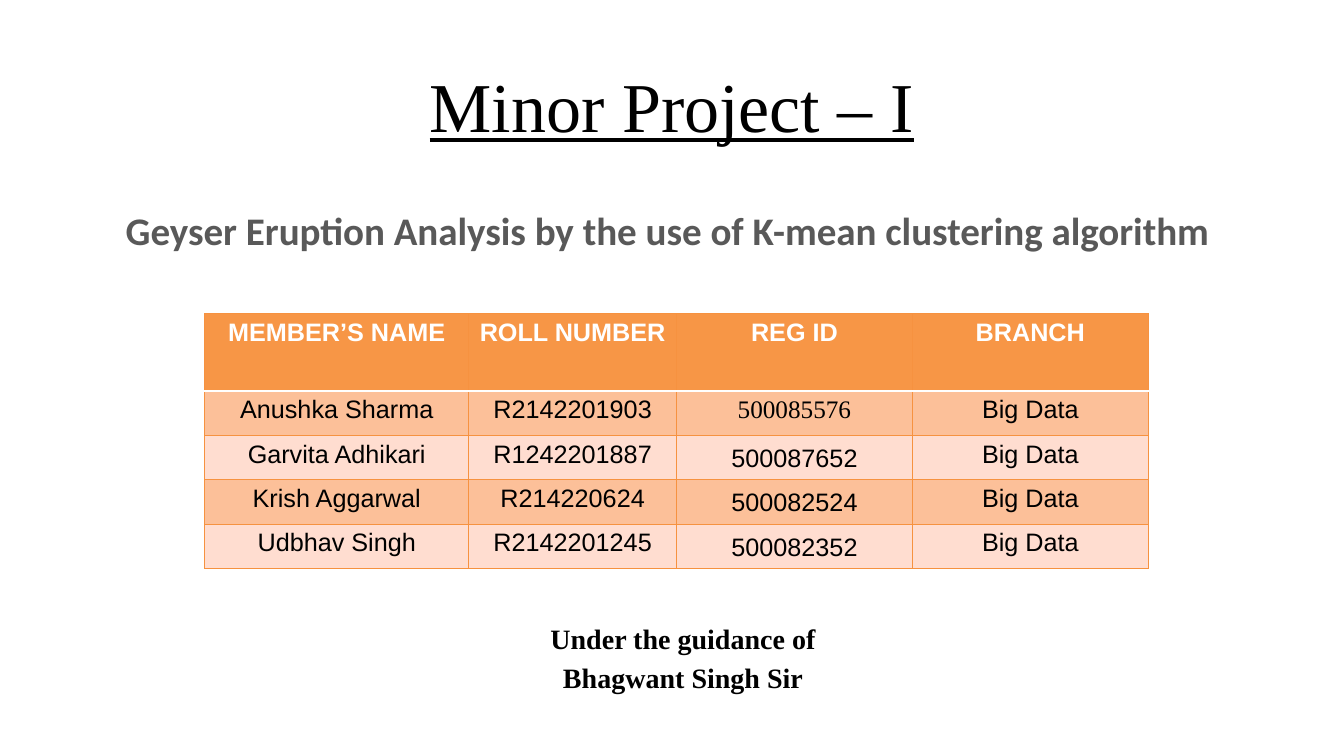
from dataclasses import dataclass

from lxml.etree import SubElement
from pptx import Presentation
from pptx.dml.color import RGBColor
from pptx.enum.text import MSO_ANCHOR as Anchor, MSO_AUTO_SIZE as AutoSize, PP_ALIGN as Align
from pptx.oxml.ns import qn
from pptx.util import Inches, Pt


@dataclass(frozen=True)
class Theme:
    ink: str = "000000"
    muted: str = "595959"
    white: str = "FFFFFF"
    header: str = "F79646"
    band: str = "FCC099"
    plain: str = "FFDDD0"
    rule: str = "F69240"
    serif: str = "Times New Roman"
    sans: str = "Arial"
    heading: str = "Calibri"
    title_size: float = 50
    subtitle_size: float = 27.9
    table_size: float = 18
    guide_size: float = 20


THEME = Theme()
HEADERS = ["MEMBER’S NAME", "ROLL NUMBER", "REG ID", "BRANCH"]
MEMBERS = [
    ["Anushka Sharma", "R2142201903", "500085576", "Big Data"],
    ["Garvita Adhikari", "R1242201887", "500087652", "Big Data"],
    ["Krish Aggarwal", "R214220624", "500082524", "Big Data"],
    ["Udbhav Singh", "R2142201245", "500082352", "Big Data"],
]
COLUMN_WIDTHS = [2.62, 2.06, 2.34, 2.34]
ID_COLUMN = HEADERS.index("REG ID")
HEADER_HEIGHT = 0.77


def write(para, text, *, font, size, color=THEME.ink, bold=False,
          underline=False, line_spacing=None, space_after=None):
    para.alignment = Align.CENTER
    if line_spacing:
        para.line_spacing = line_spacing
    if space_after is not None:
        para.space_after = Pt(space_after)
    span = para.add_run()
    span.text = text
    span.font.name = font
    span.font.size = Pt(size)
    span.font.bold = bold
    span.font.underline = underline
    span.font.color.rgb = RGBColor.from_string(color)


def set_borders(cell, **borders):
    properties = cell._tc.get_or_add_tcPr()
    for side in ("L", "R", "T", "B"):
        color, width = borders.get(side, (THEME.rule, 0.75))
        line = SubElement(properties, qn(f"a:ln{side}"), w=str(Pt(width)))
        fill = SubElement(line, qn("a:solidFill"))
        SubElement(fill, qn("a:srgbClr"), val=color)


def add_heading(page, left, top, width, height):
    box = page.shapes.title
    box.left, box.top = Inches(left), Inches(top)
    box.width, box.height = Inches(width), Inches(height)
    frame = box.text_frame
    frame.word_wrap = True
    frame.auto_size = AutoSize.NONE
    frame.vertical_anchor = Anchor.TOP
    write(frame.paragraphs[0], "Minor Project – I", font=THEME.serif,
          size=THEME.title_size, underline=True, space_after=43)
    write(frame.add_paragraph(),
          "Geyser Eruption Analysis by the use of K-mean clustering algorithm ",
          font=THEME.heading, size=THEME.subtitle_size, color=THEME.muted, bold=True)


def add_members(page, left, top, width, height):
    table = page.shapes.add_table(
        len(MEMBERS) + 1, len(HEADERS),
        Inches(left), Inches(top), Inches(width), Inches(height)).table
    for column, share in zip(table.columns, COLUMN_WIDTHS):
        column.width = Inches(width * share / sum(COLUMN_WIDTHS))
    for row in table.rows:
        row.height = Inches((height - HEADER_HEIGHT) / len(MEMBERS))
    table.rows[0].height = Inches(HEADER_HEIGHT)

    divider = (THEME.white, 2)
    for row_index, values in enumerate([HEADERS, *MEMBERS]):
        is_header = row_index == 0
        is_first = row_index == 1
        borders = {"B": divider} if is_header else {"T": divider} if is_first else {}
        fill = THEME.header if is_header else THEME.band if row_index % 2 else THEME.plain
        for column_index, value in enumerate(values):
            is_id = column_index == ID_COLUMN
            cell = table.cell(row_index, column_index)
            set_borders(cell, **borders)
            cell.fill.solid()
            cell.fill.fore_color.rgb = RGBColor.from_string(fill)
            write(cell.text_frame.paragraphs[0], value,
                  font=THEME.serif if is_id and is_first else THEME.sans,
                  size=THEME.table_size, bold=is_header,
                  color=THEME.white if is_header else THEME.ink,
                  line_spacing=1.15 if is_id and row_index > 1 else None)


def add_guidance(page, left, top, width, height):
    box = page.shapes.add_textbox(Inches(left), Inches(top), Inches(width), Inches(height))
    frame = box.text_frame
    frame.word_wrap = True
    lines = ["Under the guidance of", "Bhagwant Singh Sir"]
    for index, text in enumerate(lines):
        para = frame.add_paragraph() if index else frame.paragraphs[0]
        write(para, text, font=THEME.serif, size=THEME.guide_size,
              bold=True, line_spacing=1.15)


def main():
    deck = Presentation()
    deck.slide_width, deck.slide_height = Inches(13.33), Inches(7.5)
    page = deck.slides.add_slide(deck.slide_layouts[5])
    add_heading(page, 0, 0.57, 13.33, 2)
    add_members(page, 2.03, 3.11, 9.36, 2.53)
    add_guidance(page, 3.44, 6.07, 6.67, 1)
    deck.save("out.pptx")


if __name__ == "__main__":
    main()
